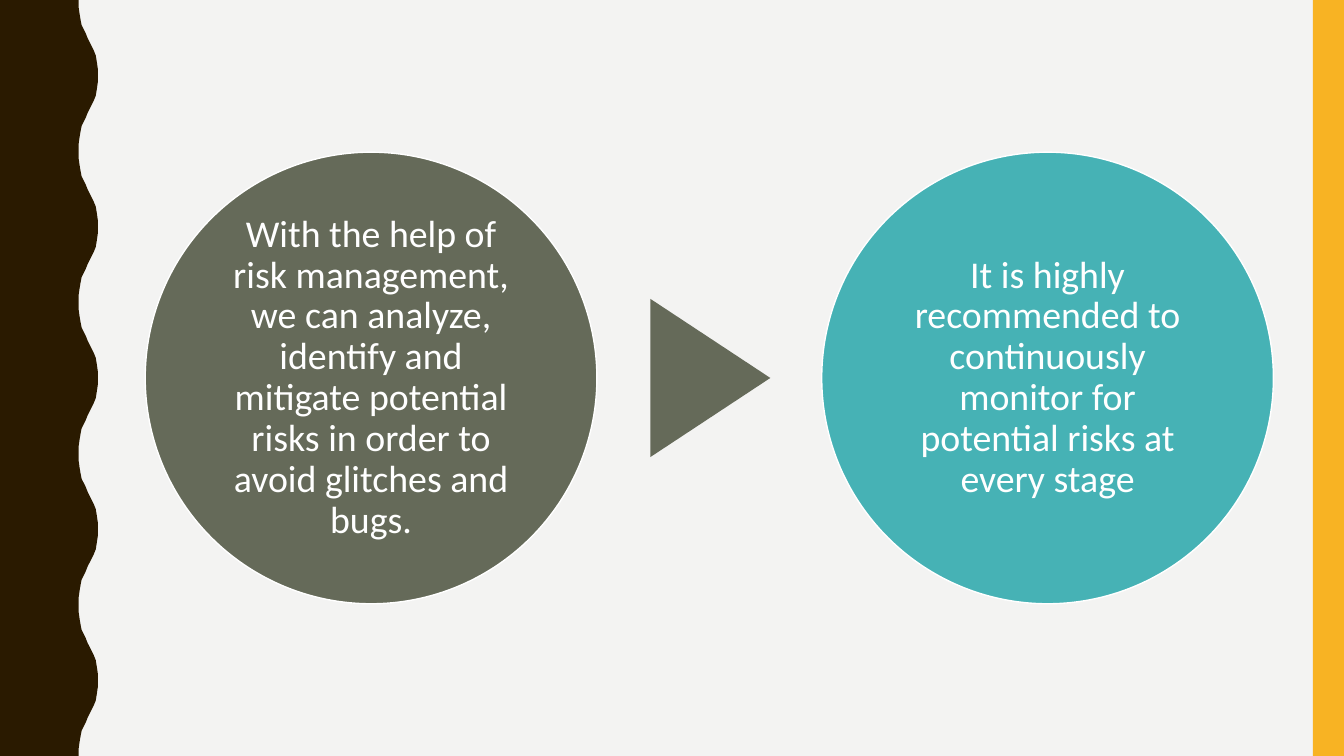
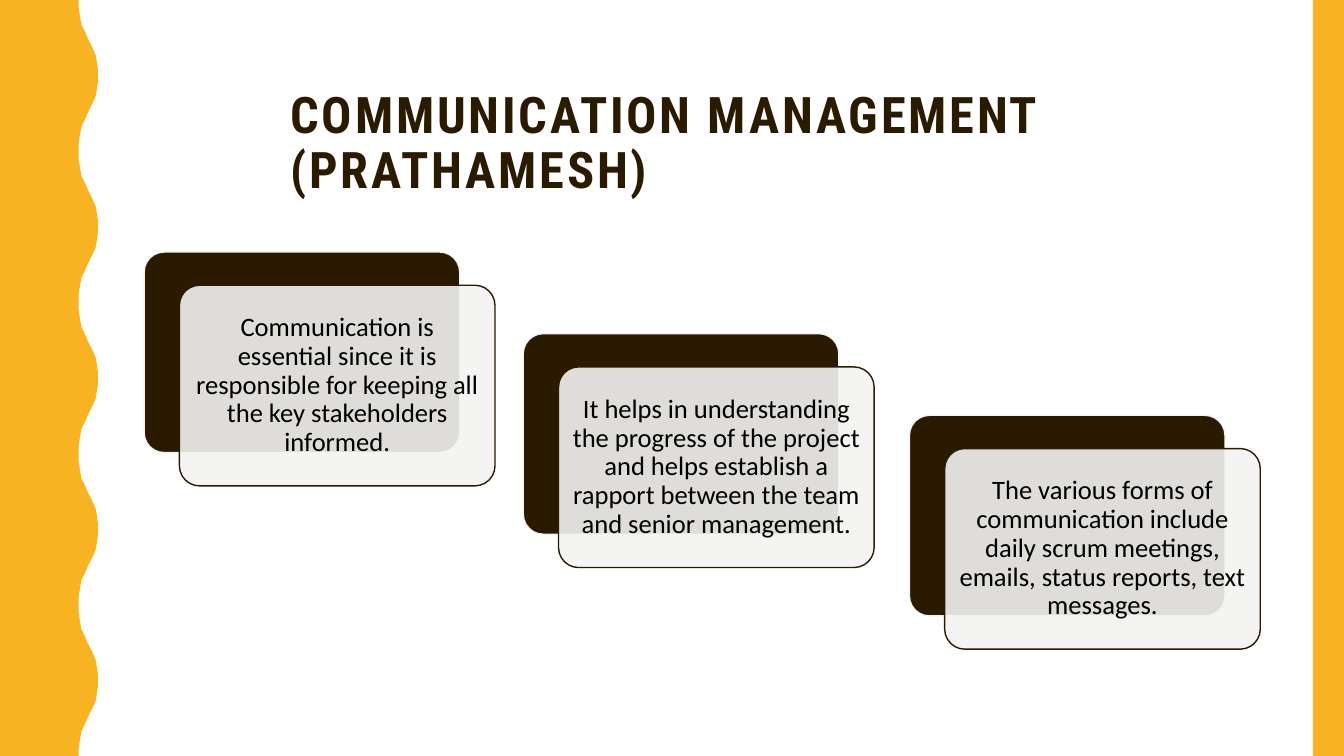
from lxml import etree
from pptx import Presentation
from pptx.dml.color import RGBColor
from pptx.enum.shapes import MSO_SHAPE as SHAPE
from pptx.enum.text import MSO_ANCHOR as ANCHOR, MSO_AUTO_SIZE as AUTO_SIZE, PP_ALIGN as ALIGN
from pptx.oxml.ns import qn
from pptx.util import Inches, Pt

WIDTH, HEIGHT = 13.33, 7.5
BROWN, GOLD, OLIVE, TEAL = "2A1A00", "F8B323", "656A59", "46B2B5"
PALE, WHITE, BLACK = "F3F3F2", "FFFFFF", "000000"
BODY_FONT, TITLE_FONT = "Calibri", "Roboto Condensed"
TITLE_ONLY, BLANK = 5, 6

# Half a wave from trough to crest, as (x, y) in hundredths of an inch
HALF_WAVE = [(78, 0), (78, 7), (79, 14), (80, 20), (81, 25), (83, 29), (85, 33), (87, 38),
             (89, 42), (91, 46), (93, 50), (95, 55), (96, 61), (97, 68), (97, 75)]
WAVE_LENGTH, WAVE_COUNT = 150, 5


def rgb(color):
    return RGBColor.from_string(color)


def paint(shape, fill, line=None, opacity=None):
    shape.shadow.inherit = False
    shape.fill.solid()
    shape.fill.fore_color.rgb = rgb(fill)
    if opacity is not None:
        color = shape.fill._xPr.find(qn("a:solidFill"))[0]
        etree.SubElement(color, qn("a:alpha")).set("val", str(opacity * 1000))
    if line:
        shape.line.color.rgb = rgb(line)
        shape.line.width = Pt(1)
    else:
        shape.line.fill.background()


def add_block(slide, kind, box, fill, line=None, opacity=None):
    block = slide.shapes.add_shape(kind, *map(Inches, box))
    paint(block, fill, line, opacity)
    return block


def write(shape, text, size, color, font=BODY_FONT, align=ALIGN.CENTER,
          inset=0.04, bold=False, spacing=None):
    frame = shape.text_frame
    frame.word_wrap = True
    frame.auto_size = AUTO_SIZE.NONE
    frame.vertical_anchor = ANCHOR.MIDDLE
    frame.margin_left = frame.margin_right = Inches(inset)
    frame.margin_top = frame.margin_bottom = Inches(inset)
    paragraph = frame.paragraphs[0]
    paragraph.text = text
    paragraph.alignment = align
    paragraph.line_spacing = 0.9
    for run in paragraph.runs:
        run.font.size, run.font.name, run.font.bold = Pt(size), font, bold
        run.font.color.rgb = rgb(color)
        if spacing:
            run.font._element.set("spc", str(spacing * 100))


def add_wavy_band(slide, color):
    period = HALF_WAVE + [(x, WAVE_LENGTH - y) for x, y in HALF_WAVE[-2::-1]]
    edge = [(x, y + WAVE_LENGTH * wave) for wave in range(WAVE_COUNT) for x, y in period]
    builder = slide.shapes.build_freeform(0, 0, scale=Inches(1) / 100)
    builder.add_line_segments(edge + [(0, WAVE_LENGTH * WAVE_COUNT)], close=True)
    paint(builder.convert_to_shape(), color)


def add_slide(deck, layout, background, wave_color):
    """Add a slide with its background, wavy left band and gold right band."""
    slide = deck.slides.add_slide(deck.slide_layouts[layout])
    slide.background.fill.solid()
    slide.background.fill.fore_color.rgb = rgb(background)
    add_wavy_band(slide, wave_color)
    add_block(slide, SHAPE.RECTANGLE, (WIDTH - 0.31, 0, 0.31, HEIGHT), GOLD)
    return slide


def set_title(slide, text, box):
    title = slide.shapes.title
    title.left, title.top, title.width, title.height = map(Inches, box)
    write(title, text, 36, BROWN, font=TITLE_FONT, align=ALIGN.LEFT,
          inset=0.1, bold=True, spacing=2)


def add_circle_flow(slide, box, steps):
    """Place circles at equal gaps, with a triangle pointing on between them."""
    left, top, width, diameter = box
    pitch = (width - diameter) / (len(steps) - 1)
    base, depth = 1.57, 1.19
    for index, (text, color) in enumerate(steps):
        x = left + index * pitch
        circle = add_block(slide, SHAPE.OVAL, (x, top, diameter, diameter), color, WHITE)
        write(circle, text, 27, WHITE)
        if index < len(steps) - 1:
            middle = x + (diameter + pitch) / 2 + 0.01
            pointer = add_block(slide, SHAPE.ISOSCELES_TRIANGLE,
                                (middle - base / 2, top + (diameter - depth) / 2, base, depth),
                                color)
            pointer.rotation = 90


def add_layered_card(slide, box, text):
    """Place a pale translucent card over a dark one that is offset up and left."""
    left, top, width, height = box
    shift_x, shift_y = 0.35, 0.33
    back = add_block(slide, SHAPE.ROUNDED_RECTANGLE, box, BROWN, PALE)
    front = add_block(slide, SHAPE.ROUNDED_RECTANGLE,
                      (left + shift_x, top + shift_y, width, height), PALE, BROWN, opacity=90)
    for card in (back, front):
        card.adjustments[0] = 0.1
    write(front, text, 19, BLACK, inset=0.08)


def build_risk_slide(deck):
    slide = add_slide(deck, BLANK, PALE, BROWN)
    add_circle_flow(slide, (1.44, 1.51, 11.19, 4.48), [
        ("With the help of risk management, we can analyze, identify and mitigate "
         "potential risks in order to avoid glitches and bugs.", OLIVE),
        ("It is highly recommended to continuously monitor for potential risks "
         "at every stage", TEAL),
    ])


def build_communication_slide(deck):
    slide = add_slide(deck, TITLE_ONLY, WHITE, GOLD)
    set_title(slide, "COMMUNICATION MANAGEMENT\v(PRATHAMESH)", (2.78, 0.9, 7.78, 1.07))
    cards = [
        (1.43, "Communication is essential since it is responsible for keeping all "
               "the key stakeholders informed."),
        (5.19, "It helps in understanding the progress of the project and helps "
               "establish a rapport between the team and senior management."),
        (9.02, "The various forms of communication include daily scrum meetings, "
               "emails, status reports, text messages."),
    ]
    for index, (left, text) in enumerate(cards):
        add_layered_card(slide, (left, 2.5 + 0.81 * index, 3.13, 1.99), text)


def main():
    deck = Presentation()
    deck.slide_width, deck.slide_height = Inches(WIDTH), Inches(HEIGHT)
    build_risk_slide(deck)
    build_communication_slide(deck)
    deck.save("out.pptx")


if __name__ == "__main__":
    main()
